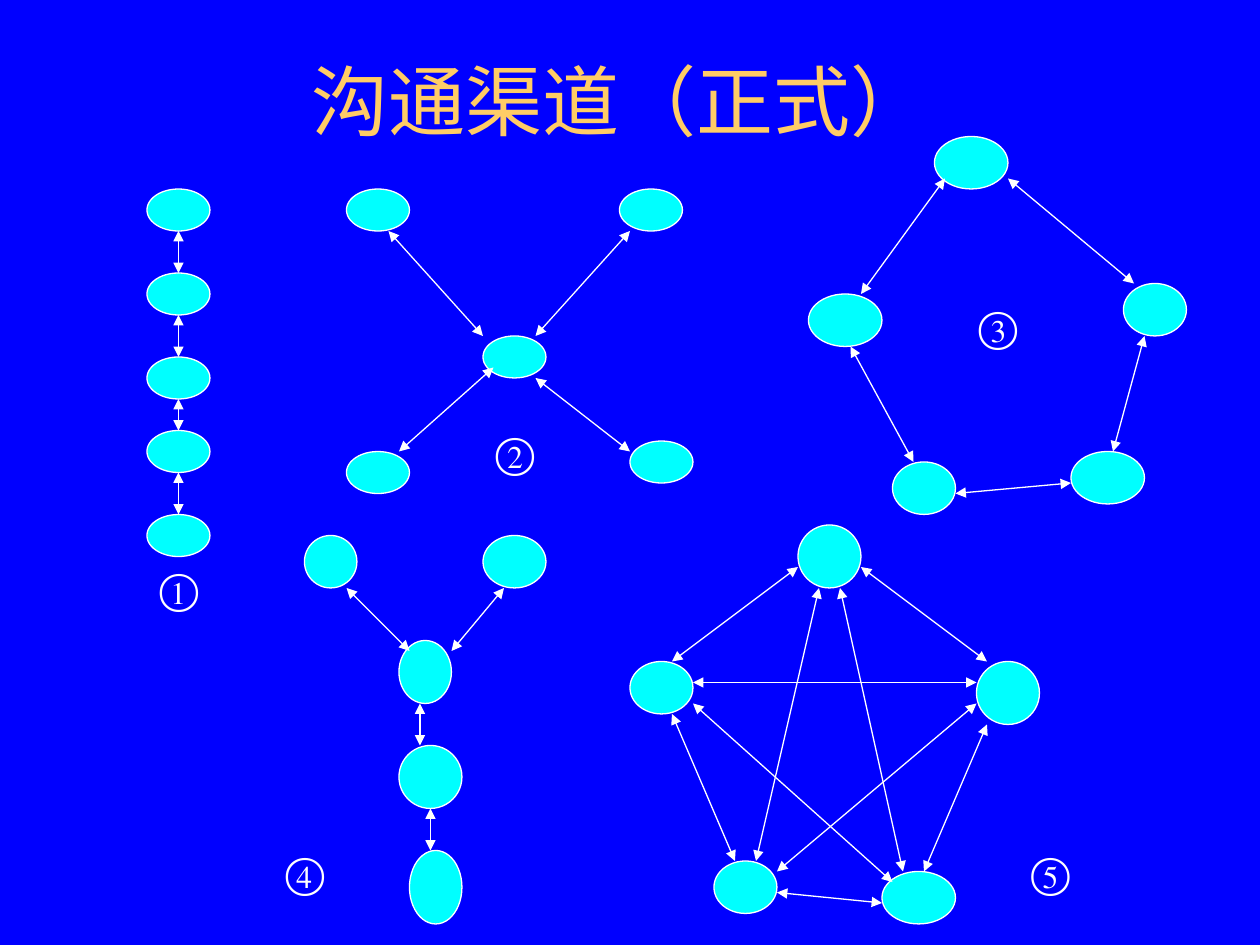
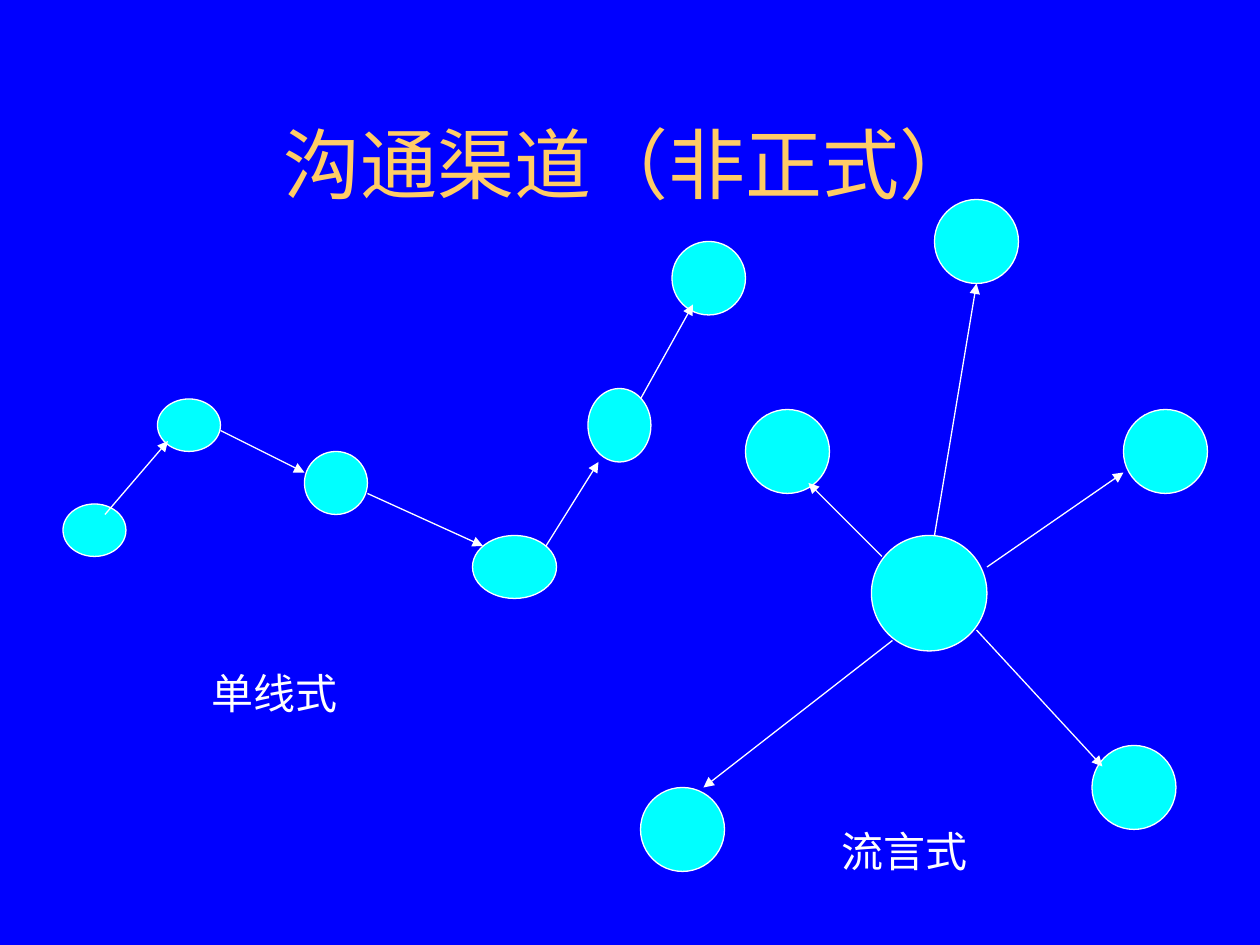
from dataclasses import dataclass
from itertools import pairwise

from lxml.etree import SubElement
from pptx import Presentation
from pptx.dml.color import RGBColor as RGB
from pptx.enum.shapes import MSO_CONNECTOR as LINK, MSO_SHAPE as SHAPE
from pptx.enum.text import MSO_ANCHOR as ANCHOR, MSO_AUTO_SIZE as FIT, PP_ALIGN as ALIGN
from pptx.oxml.ns import qn
from pptx.util import Cm, Pt


@dataclass(frozen=True)
class Theme:
    back: RGB = RGB(0x00, 0x00, 0xFF)
    node: RGB = RGB(0x00, 0xFF, 0xFF)
    edge: RGB = RGB(0xFF, 0xFF, 0xFF)
    gold: RGB = RGB(0xFF, 0xCC, 0x66)
    thin: Pt = Pt(0.75)
    head: Pt = Pt(44)
    body: Pt = Pt(24)


theme = Theme()
title = {
    "frame": {"word_wrap": True, "vertical_anchor": ANCHOR.MIDDLE},
    "para": {"alignment": ALIGN.CENTER},
    "font": {"name": "Arial", "size": theme.head},
    "color": theme.gold,
}
label = {
    "frame": {"word_wrap": True, "auto_size": FIT.SHAPE_TO_FIT_TEXT},
    "para": {"alignment": ALIGN.LEFT},
    "font": {"name": "Times New Roman", "size": theme.body},
    "color": theme.edge,
}


def grid(*cells):
    return [Cm(cell * 2.54 / 12) for cell in cells]


def write(slide, text, box, style):
    frame = slide.shapes.add_textbox(*grid(*box)).text_frame
    para = frame.paragraphs[0]
    para.text = text
    font = para.runs[0].font
    for part, name in ((frame, "frame"), (para, "para"), (font, "font")):
        for key, value in style[name].items():
            setattr(part, key, value)
    font.color.rgb = style["color"]


rows = [18, 26, 34, 41, 49]
chain = {
    "kind": SHAPE.FLOWCHART_CONNECTOR,
    "nodes": [(14, y, 6, 4) for y in rows],
    "links": [(17, y + 4, 17, low) for y, low in pairwise(rows)],
}
wheel = {
    "kind": SHAPE.FLOWCHART_CONNECTOR,
    "nodes": [(x, y, 6, 4) for x, y in
              [(46, 32), (33, 43), (60, 42), (33, 18), (59, 18)]],
    "links": [(37, 22, 46, 32), (51, 36, 60, 43), (47, 35, 38, 43), (60, 22, 51, 32)],
}
ring = {
    "kind": SHAPE.OVAL,
    "nodes": [(89, 13, 7, 5), (77, 28, 7, 5), (107, 27, 6, 5),
              (85, 44, 6, 5), (102, 43, 7, 5)],
    "links": [(90, 17, 82, 28), (96, 17, 108, 27), (81, 33, 87, 44),
              (91, 47, 102, 46), (109, 32, 106, 43)],
}
fork = {
    "kind": SHAPE.OVAL,
    "nodes": [(29, 51, 5, 5), (46, 51, 6, 5), (38, 61, 5, 6),
              (38, 71, 6, 6), (39, 81, 5, 7)],
    "links": [(33, 56, 39, 62), (48, 56, 43, 62), (40, 67, 40, 71), (41, 77, 41, 81)],
}
web = {
    "kind": SHAPE.OVAL,
    "nodes": [(76, 50, 6, 6), (60, 63, 6, 5), (68, 82, 6, 5),
              (84, 83, 7, 5), (93, 63, 6, 6)],
    "links": [(82, 54, 94, 63), (76, 54, 64, 63), (64, 68, 70, 82), (94, 69, 88, 83),
              (74, 85, 84, 86), (80, 56, 86, 83), (78, 56, 72, 82), (66, 65, 93, 65),
              (66, 67, 85, 84), (93, 67, 74, 83)],
}
single = {
    "kind": SHAPE.OVAL,
    "nodes": [(6, 48, 6, 5), (15, 38, 6, 5), (29, 43, 6, 6),
              (45, 51, 8, 6), (56, 37, 6, 7), (64, 23, 7, 7)],
    "links": [(10, 49, 16, 42), (21, 41, 29, 45), (35, 47, 46, 52),
              (52, 52, 57, 44), (61, 38, 66, 29)],
}
rumor = {
    "kind": SHAPE.OVAL,
    "nodes": [(83, 51, 11, 11)] + [(x, y, 8, 8) for x, y in
              [(89, 19), (107, 39), (71, 39), (61, 75), (104, 71)]],
    "links": [(89, 51, 93, 27), (94, 54, 107, 45), (93, 60, 105, 73),
              (84, 53, 77, 46), (85, 61, 67, 75)],
}

pages = [
    {
        "title": ("沟通渠道（正式）", (8, 2, 102, 15)),
        "nets": [chain, wheel, ring, fork, web],
        "ends": ["a:headEnd", "a:tailEnd"],
        "labels": [(text, (x, y, 8, 6)) for text, x, y in
                   [("①", 14, 53), ("④", 26, 80), ("③", 92, 28),
                    ("②", 46, 40), ("⑤", 97, 80)]],
    },
    {
        "title": ("沟通渠道（非正式）", (9, 8, 102, 15)),
        "nets": [single, rumor],
        "ends": ["a:tailEnd"],
        "labels": [("单线式", (19, 63, 31, 6)), ("流言式", (79, 78, 27, 6))],
    },
]

deck = Presentation()
deck.slide_width, deck.slide_height = Cm(25.4), Cm(19.05)

for page in pages:
    slide = deck.slides.add_slide(deck.slide_layouts[6])
    slide.background.fill.solid()
    slide.background.fill.fore_color.rgb = theme.back
    write(slide, *page["title"], title)
    for net in page["nets"]:
        for box in net["nodes"]:
            node = slide.shapes.add_shape(net["kind"], *grid(*box))
            node.shadow.inherit = False
            node.fill.solid()
            node.fill.fore_color.rgb = theme.node
            node.line.color.rgb = theme.edge
            node.line.width = theme.thin
            node.text_frame.paragraphs[0].font.color.rgb = theme.edge
        for ends in net["links"]:
            link = slide.shapes.add_connector(LINK.STRAIGHT, *grid(*ends))
            link.line.color.rgb = theme.edge
            link.line.width = theme.thin
            props = link._element.spPr
            for tag in page["ends"]:
                SubElement(props.find(qn("a:ln")), qn(tag), type="triangle")
            SubElement(props, qn("a:effectLst"))
    for text, box in page["labels"]:
        write(slide, text, box, label)

deck.save("out.pptx")
